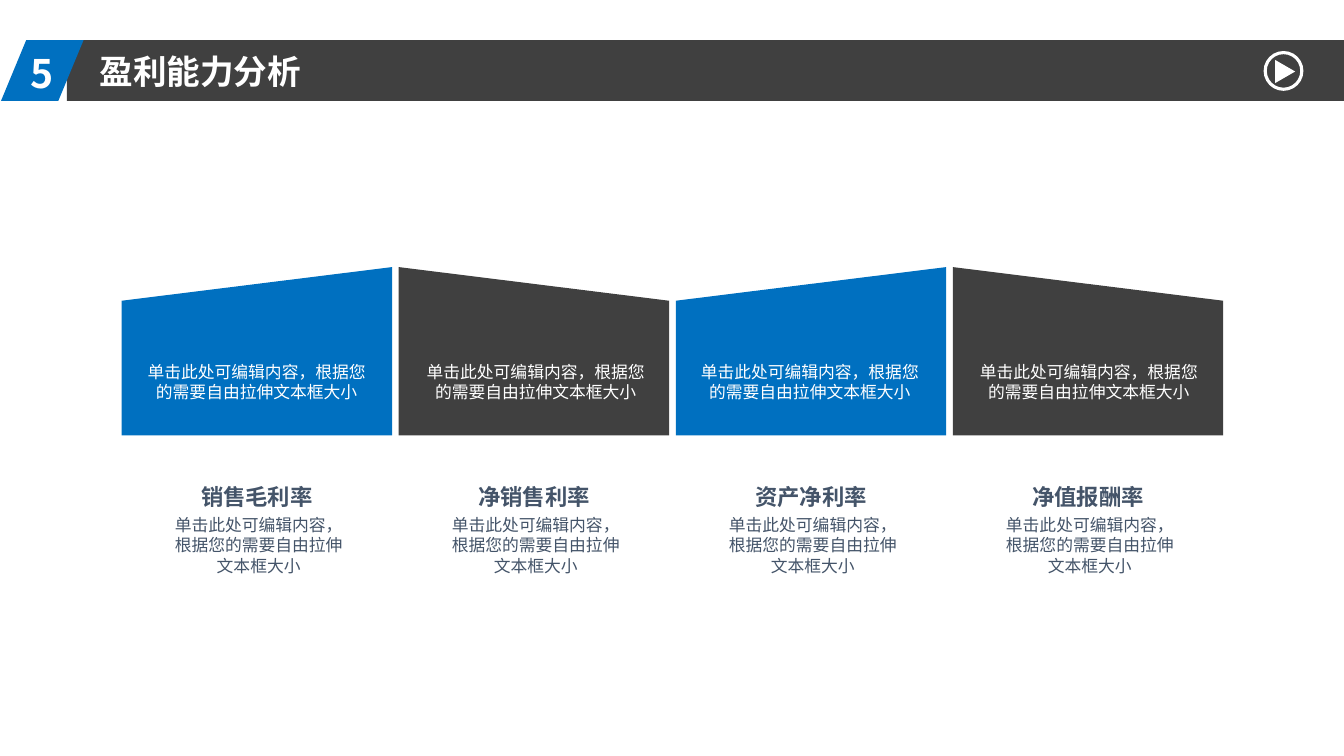
"""Build the profitability analysis slide with four slanted panels and captions."""
import pptx
import pptx.util
import pptx.dml.color
import pptx.enum.shapes
import pptx.enum.text
import pptx.oxml
import pptx.oxml.ns

NUMBER = "5"
TITLE = "盈利能力分析"
BODY = "单击此处可编辑内容，根据您的需要自由拉伸文本框大小"
PANELS = [
    {"name": "销售毛利率", "color": "blue", "flip": False, "inset": 17.3},
    {"name": "净销售利率", "color": "dark", "flip": True, "inset": 18.7},
    {"name": "资产净利率", "color": "blue", "flip": False, "inset": 16.6},
    {"name": "净值报酬率", "color": "dark", "flip": True, "inset": 18},
]

THEME = {
    "blue": "0070C0", "dark": "404040", "white": "FFFFFF", "slate": "445469",
    "head_font": "Noto Sans CJK SC", "body_font": "Arial",
    "number": 28, "title": 24, "name": 16, "body": 12,
}
SLIDE_W, SLIDE_H = 960.48, 540
BAR_LEFT, BAR_TOP, BAR_H = 47.8, 28.7, 43.4
PANEL_LEFT, PANEL_TOP, PANEL_W, PANEL_H, PANEL_GAP = 87, 190.8, 193.2, 120.2, 4.8
NAME_W, BODY_W, PANEL_TEXT_W = 184.3, 131.8, 158.4

Pt = pptx.util.Pt
SHAPE = pptx.enum.shapes.MSO_SHAPE
ALIGN = pptx.enum.text.PP_ALIGN


def rgb(name):
    return pptx.dml.color.RGBColor.from_string(THEME[name])


def add_shape(slide, kind, box, fill=None, line=None, adj=None):
    sp = slide.shapes.add_shape(kind, *map(Pt, box))
    sp.shadow.inherit = False
    if adj is not None:
        sp.adjustments[0] = adj
    if fill:
        sp.fill.solid()
        sp.fill.fore_color.rgb = rgb(fill)
    else:
        sp.fill.background()
    if line:
        sp.line.color.rgb = rgb(line)
        sp.line.width = Pt(2.25)
    else:
        sp.line.fill.background()
    return sp


def add_text(slide, text, box, size, color, font="body_font", bold=False,
             align=ALIGN.CENTER, margins=(0, 0)):
    tf = slide.shapes.add_textbox(*map(Pt, box)).text_frame
    tf.word_wrap = True
    tf.margin_left = tf.margin_right = Pt(margins[0])
    tf.margin_top = tf.margin_bottom = Pt(margins[1])
    tf.text = text
    p = tf.paragraphs[0]
    p.alignment = align
    r = p.runs[0]
    r.font.size = Pt(THEME[size])
    r.font.bold = bold
    r.font.color.rgb = rgb(color)
    r.font.name = THEME[font]
    ea = pptx.oxml.parse_xml(f'<a:ea {pptx.oxml.ns.nsdecls("a")} typeface="{THEME[font]}"/>')
    r.font._element.append(ea)


def add_header(slide):
    add_shape(slide, SHAPE.RECTANGLE, (BAR_LEFT, BAR_TOP, SLIDE_W - BAR_LEFT, BAR_H), "dark")
    add_shape(slide, SHAPE.PARALLELOGRAM, (0.7, BAR_TOP, 59, BAR_H), "blue", adj=0.415)
    for text, box, size in [(NUMBER, (14.4, 31.7, 49.7, 41), "number"),
                            (TITLE, (64.1, 33.1, 197.3, 36), "title")]:
        add_text(slide, text, box, size, "white", "head_font", True, ALIGN.LEFT, (7.2, 3.6))


def add_panel(slide, index, panel):
    left = PANEL_LEFT + index * (PANEL_W + PANEL_GAP)
    sp = add_shape(slide, SHAPE.FLOWCHART_MANUAL_INPUT,
                   (left, PANEL_TOP, PANEL_W, PANEL_H), panel["color"])
    if panel["flip"]:
        sp._element.spPr.find(pptx.oxml.ns.qn("a:xfrm")).set("flipH", "1")
    add_text(slide, BODY, (left + panel["inset"], 258.5, PANEL_TEXT_W, 28.8), "body", "white")
    add_text(slide, panel["name"], (left + (PANEL_W - NAME_W) / 2, 344.9, NAME_W, 19.4),
             "name", "slate", bold=True)
    add_text(slide, BODY, (left + 32, 367.9, BODY_W, 43.2), "body", "slate")


def add_play_button(slide):
    add_shape(slide, SHAPE.OVAL, (904.2, 37.6, 26.2, 26.2), line="white")
    sp = add_shape(slide, SHAPE.ISOSCELES_TRIANGLE, (910.1, 43.9, 16.6, 14.4), "white")
    sp.rotation = 90


def main():
    prs = pptx.Presentation()
    prs.slide_width, prs.slide_height = Pt(SLIDE_W), Pt(SLIDE_H)
    slide = prs.slides.add_slide(prs.slide_layouts[6])
    add_header(slide)
    for index, panel in enumerate(PANELS):
        add_panel(slide, index, panel)
    add_play_button(slide)
    prs.save("out.pptx")


if __name__ == "__main__":
    main()
